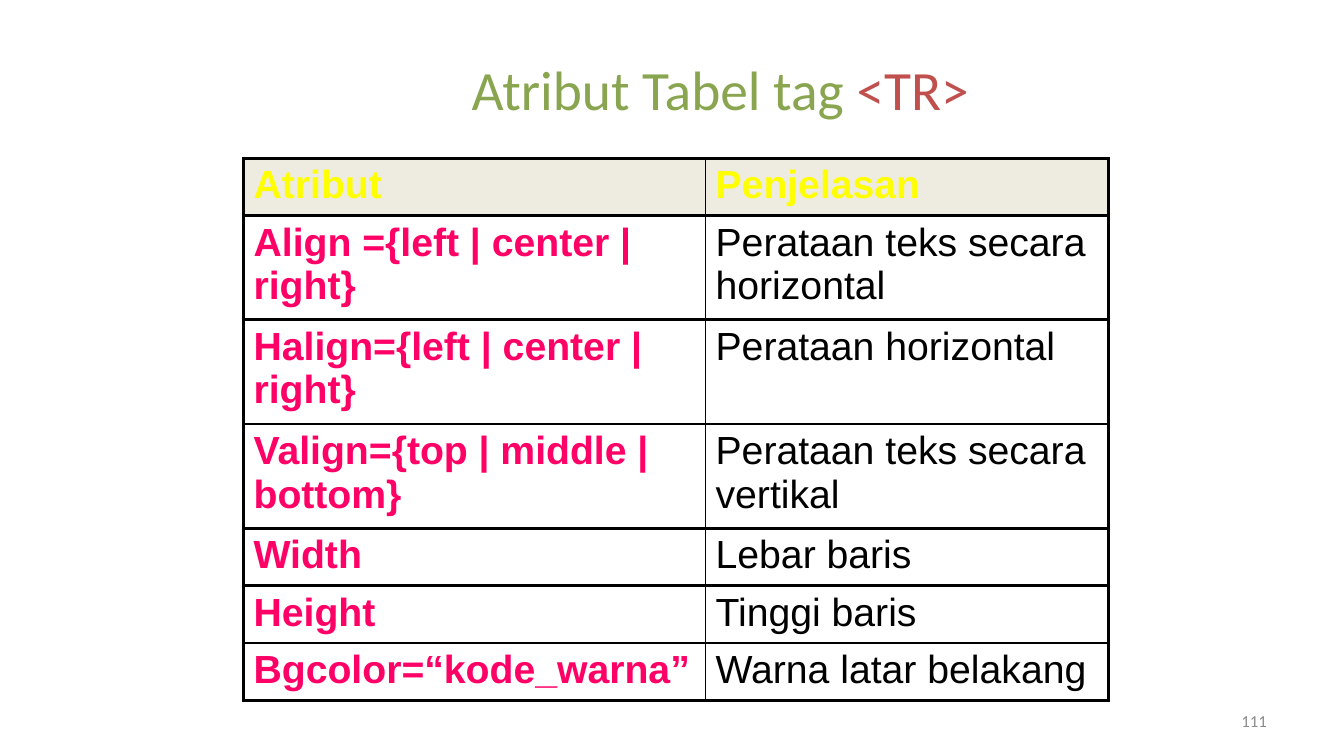
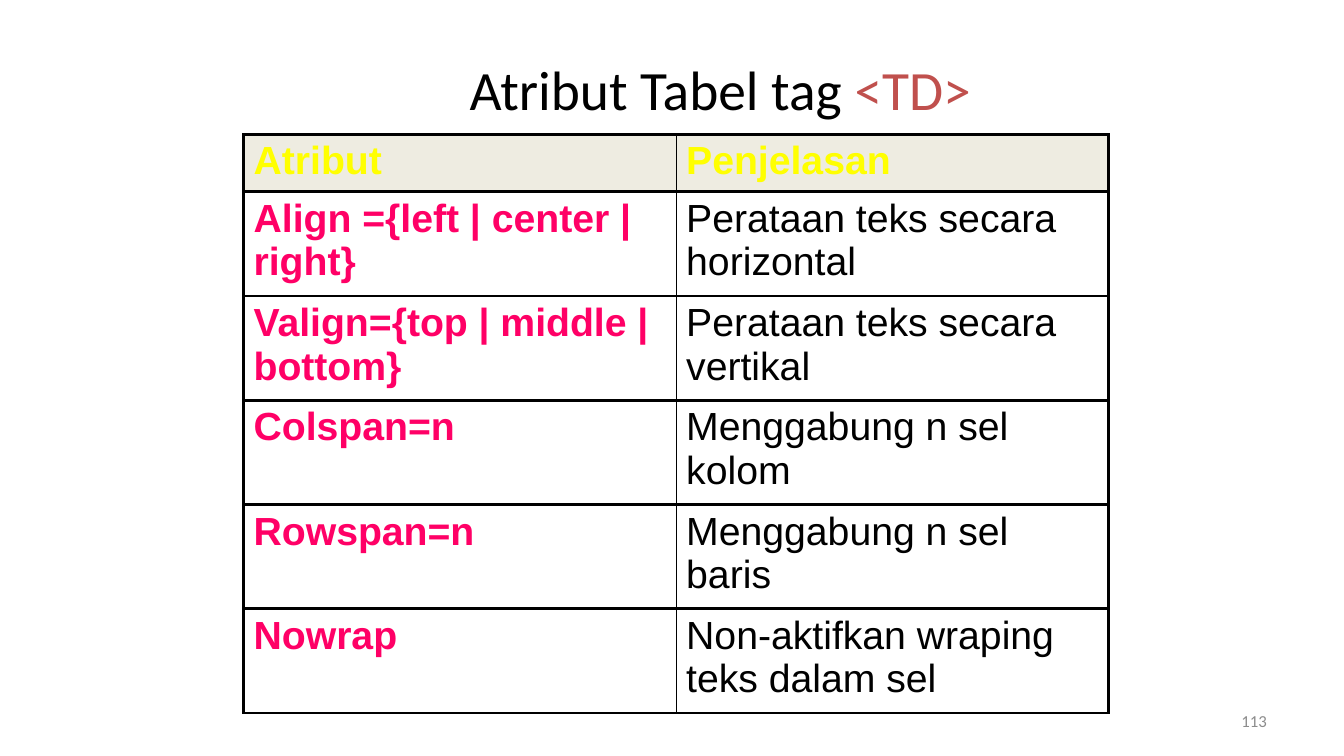
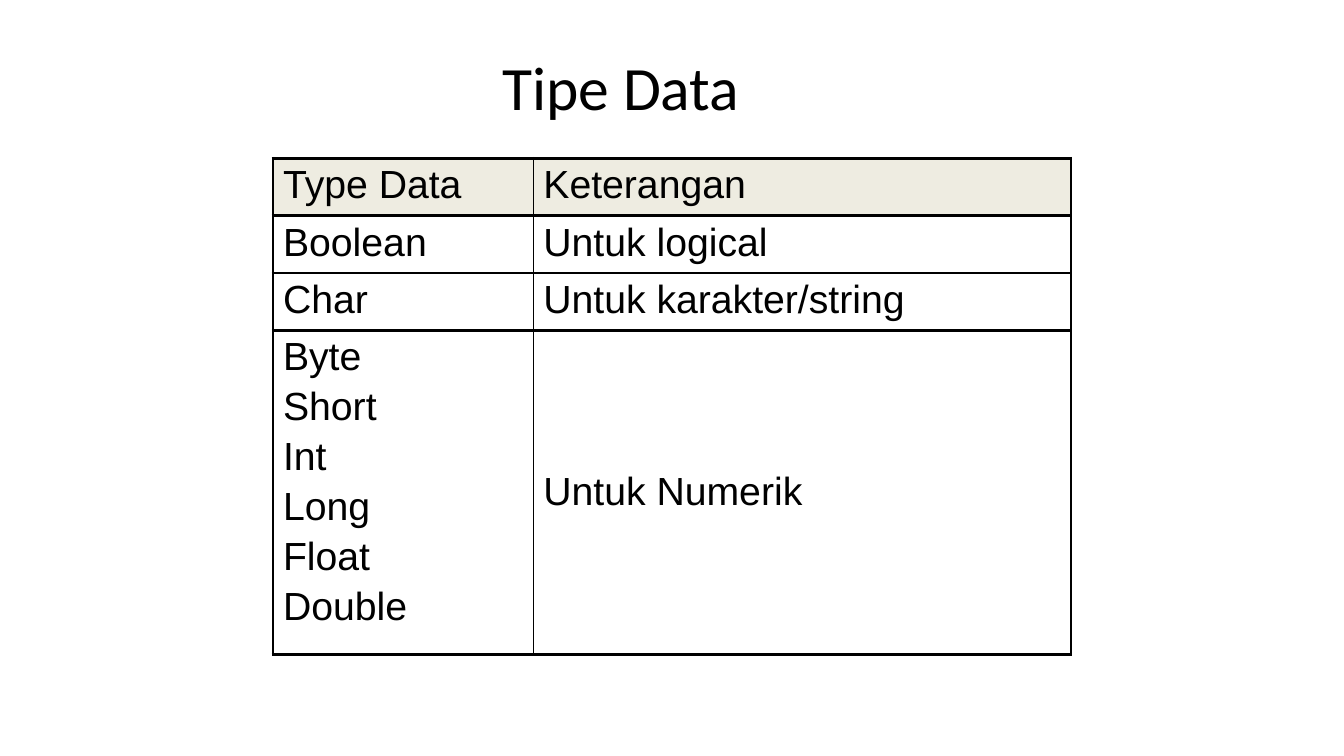
from dataclasses import dataclass

from lxml.etree import SubElement
from pptx import Presentation
from pptx.dml.color import RGBColor as RGB
from pptx.enum.text import MSO_ANCHOR as Anchor, PP_ALIGN as Align
from pptx.oxml.ns import qn
from pptx.util import Pt


@dataclass(frozen=True)
class Theme:
    black: str = "000000"
    green: str = "89A54F"
    red: str = "C0504D"
    yellow: str = "FFFF00"
    pink: str = "FF0066"
    gray: str = "8C8C8C"
    header_fill: str = "EEECE1"
    title_font: str = "Calibri"
    table_font: str = "Arial"
    title_size: float = 44
    tag_title_size: float = 39.6
    table_size: float = 28
    number_size: float = 12
    paragraph_gap: float = 4.5
    thick: float = 2.25
    thin: float = 1


T = Theme()


@dataclass(frozen=True)
class Box:
    left: float
    top: float
    width: float
    height: float


@dataclass(frozen=True)
class Run:
    text: str
    color: str = T.black


@dataclass(frozen=True)
class Style:
    color: str = T.black
    bold: bool = False


@dataclass(frozen=True)
class Row:
    name: str
    meaning: str
    height: float
    anchor: Anchor = Anchor.TOP


@dataclass(frozen=True)
class Grid:
    left: float
    top: float
    widths: tuple[float, float]
    rows: list[Row]
    header: Style = Style()
    names: Style = Style()


@dataclass(frozen=True)
class Page:
    title: list[Run]
    title_box: Box
    title_size: float
    grid: Grid
    number: str = ""


ONE_LINE, TWO_LINES, SIX_LINES = 41, 74.4, 222.5
TAG_TITLE_BOX = Box(222, 42, 585, 42)
NUMBER_BOX = Box(688, 500, 224, 29)
HEADER = Style(T.yellow, bold=True)
ATTRIBUTE = Style(T.pink, bold=True)

ALIGN_ROW = Row("Align ={left | center | right}", "Perataan teks secara horizontal", TWO_LINES)
VALIGN_ROW = Row("Valign={top | middle | bottom}", "Perataan teks secara vertikal", TWO_LINES)
ATTRIBUTE_HEADER = Row("Atribut", "Penjelasan", ONE_LINE)

PAGES = [
    Page(
        [Run("Atribut Tabel tag ", T.green), Run("<TR>", T.red)],
        TAG_TITLE_BOX, T.tag_title_size,
        Grid(174, 113, (330, 288), [
            ATTRIBUTE_HEADER,
            ALIGN_ROW,
            Row("Halign={left | center | right}", "Perataan horizontal", TWO_LINES),
            VALIGN_ROW,
            Row("Width", "Lebar baris", ONE_LINE),
            Row("Height", "Tinggi baris", ONE_LINE),
            Row("Bgcolor=“kode_warna”", "Warna latar belakang", ONE_LINE),
        ], HEADER, ATTRIBUTE),
        "111",
    ),
    Page(
        [Run("Atribut Tabel tag "), Run("<TD>", T.red)],
        TAG_TITLE_BOX, T.tag_title_size,
        Grid(174, 96, (309, 309), [
            ATTRIBUTE_HEADER,
            ALIGN_ROW,
            VALIGN_ROW,
            Row("Colspan=n", "Menggabung n sel kolom", TWO_LINES),
            Row("Rowspan=n", "Menggabung n sel baris", TWO_LINES),
            Row("Nowrap", "Non-aktifkan wraping teks dalam sel", TWO_LINES),
        ], HEADER, ATTRIBUTE),
        "113",
    ),
    Page(
        [Run("Tipe Data")],
        Box(151, 27, 585, 69), T.title_size,
        Grid(195, 113, (186, 384), [
            Row("Type Data", "Keterangan", ONE_LINE),
            Row("Boolean", "Untuk logical", ONE_LINE),
            Row("Char", "Untuk karakter/string", ONE_LINE),
            Row("Byte\nShort\nInt\nLong\nFloat\nDouble", "Untuk Numerik",
                SIX_LINES, Anchor.MIDDLE),
        ]),
    ),
]


def write(p, text: str, *, size: float, font: str, color: str = T.black,
          bold: bool = False) -> None:
    r = p.add_run()
    r.text = text
    r.font.size = Pt(size)
    r.font.name = font
    r.font.bold = bold
    r.font.color.rgb = RGB.from_string(color)


def add_line(s, box: Box, runs: list[Run], size: float, align: Align) -> None:
    """Add a text box holding one paragraph, centred vertically."""
    sp = s.shapes.add_textbox(Pt(box.left), Pt(box.top), Pt(box.width), Pt(box.height))
    tf = sp.text_frame
    tf.word_wrap = True
    tf.vertical_anchor = Anchor.MIDDLE
    p = tf.paragraphs[0]
    p.alignment = align
    for run in runs:
        write(p, run.text, size=size, font=T.title_font, color=run.color)


def set_borders(cell, left: float, right: float) -> None:
    """Draw thick horizontal borders and the given vertical ones."""
    tc_pr = cell._tc.get_or_add_tcPr()
    for side, width in (("L", left), ("R", right), ("T", T.thick), ("B", T.thick)):
        ln = SubElement(tc_pr, qn(f"a:ln{side}"), w=str(Pt(width)))
        fill = SubElement(ln, qn("a:solidFill"))
        SubElement(fill, qn("a:srgbClr"), val=T.black)


def fill_cell(cell, text: str, style: Style, anchor: Anchor) -> None:
    cell.vertical_anchor = anchor
    tf = cell.text_frame
    for i, line in enumerate(text.split("\n")):
        p = tf.add_paragraph() if i else tf.paragraphs[0]
        if i:
            p.space_before = Pt(T.paragraph_gap)
        write(p, line, size=T.table_size, font=T.table_font,
              color=style.color, bold=style.bold)


def add_grid(s, grid: Grid) -> None:
    height = sum(row.height for row in grid.rows)
    table = s.shapes.add_table(len(grid.rows), 2, Pt(grid.left), Pt(grid.top),
                               Pt(sum(grid.widths)), Pt(height)).table
    table.first_row = table.horz_banding = False
    for column, width in zip(table.columns, grid.widths):
        column.width = Pt(width)
    for i, row in enumerate(grid.rows):
        table.rows[i].height = Pt(row.height)
        name, meaning = table.cell(i, 0), table.cell(i, 1)
        set_borders(name, T.thick, T.thin)
        set_borders(meaning, T.thin, T.thick)
        for cell in (name, meaning):
            if i:
                cell.fill.background()
            else:
                cell.fill.solid()
                cell.fill.fore_color.rgb = RGB.from_string(T.header_fill)
        fill_cell(name, row.name, grid.names if i else grid.header, Anchor.TOP)
        fill_cell(meaning, row.meaning, Style() if i else grid.header, row.anchor)


def main() -> None:
    prs = Presentation()
    prs.slide_width, prs.slide_height = Pt(960), Pt(540)
    for page in PAGES:
        s = prs.slides.add_slide(prs.slide_layouts[6])
        add_line(s, page.title_box, page.title, page.title_size, Align.CENTER)
        if page.number:
            add_line(s, NUMBER_BOX, [Run(page.number, T.gray)], T.number_size, Align.RIGHT)
        add_grid(s, page.grid)
    prs.save("out.pptx")


if __name__ == "__main__":
    main()
